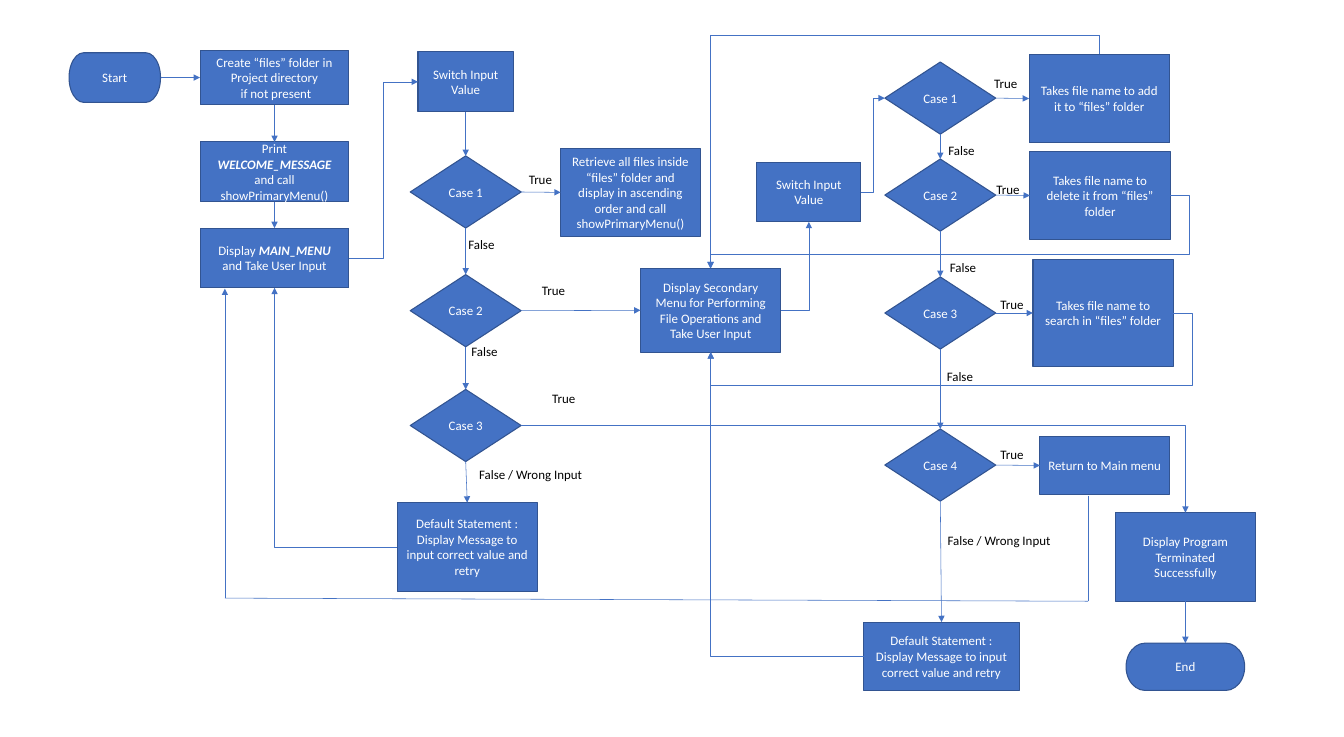
from itertools import pairwise

from lxml.etree import SubElement
from pptx import Presentation
from pptx.dml.color import RGBColor
from pptx.enum.shapes import MSO_CONNECTOR, MSO_SHAPE
from pptx.enum.text import MSO_ANCHOR, PP_ALIGN
from pptx.oxml.ns import qn
from pptx.util import Inches, Pt

BLUE, OUTLINE, WHITE, BLACK = "4472C4", "325491", "FFFFFF", "000000"
TOP, LEFT, BOTTOM, RIGHT = range(4)


def write_text(shape, text, color, alignment):
    """Fill a shape with text; newlines split paragraphs, asterisks mark bold italic."""
    for index, line in enumerate(text.split("\n")):
        frame = shape.text_frame
        paragraph = frame.add_paragraph() if index else frame.paragraphs[0]
        paragraph.alignment = alignment
        for position, part in enumerate(line.split("*")):
            run = paragraph.add_run()
            run.text = part
            run.font.name = "Calibri"
            run.font.size = Pt(12)
            run.font.color.rgb = RGBColor.from_string(color)
            run.font.bold = run.font.italic = position % 2 == 1


def style_line(connector, arrow=True):
    """Give a connector its thin blue line, no shadow and an optional arrowhead."""
    connector.line.color.rgb = RGBColor.from_string(BLUE)
    connector.line.width = Pt(0.5)
    properties = connector._element.spPr
    if arrow:
        SubElement(properties.find(qn("a:ln")), qn("a:tailEnd"), type="triangle")
    SubElement(properties, qn("a:effectLst"))


presentation = Presentation()
presentation.slide_width = Inches(17.33)
presentation.slide_height = Inches(9.5)
slide = presentation.slides.add_slide(presentation.slide_layouts[6])

RECTANGLE = MSO_SHAPE.RECTANGLE
PROCESS = MSO_SHAPE.FLOWCHART_PROCESS
DECISION = MSO_SHAPE.FLOWCHART_DECISION
TERMINATOR = MSO_SHAPE.FLOWCHART_TERMINATOR
retry_text = "Default Statement : Display Message to input correct value and retry"

# name: kind, left, top, width, height, text
steps = {
    "start": (TERMINATOR, 0.89, 0.68, 1.18, 0.64, "Start"),
    "create folder": (RECTANGLE, 2.58, 0.65, 1.92, 0.7,
                      "Create “files” folder in Project directory\n if not present"),
    "welcome": (RECTANGLE, 2.58, 1.83, 1.92, 0.77,
                "Print *WELCOME_MESSAGE* and call showPrimaryMenu()"),
    "main menu": (RECTANGLE, 2.58, 2.94, 1.92, 0.77, "Display *MAIN_MENU* and Take User Input"),
    "main switch": (RECTANGLE, 5.39, 0.67, 1.23, 0.77, "Switch Input\nValue"),
    "retrieve": (PROCESS, 7.23, 1.91, 1.8, 1.14,
                 "Retrieve all files inside “files” folder and display in ascending order "
                 "and call showPrimaryMenu()"),
    "main retry": (PROCESS, 5.12, 6.48, 1.81, 1.14, retry_text),
    "secondary menu": (PROCESS, 8.26, 3.46, 1.81, 1.08,
                       "Display Secondary Menu for Performing File Operations and Take User Input"),
    "file switch": (RECTANGLE, 9.76, 2.09, 1.34, 0.77, "Switch Input\nValue"),
    "add": (PROCESS, 13.27, 0.7, 1.81, 1.14, "Takes file name to add it to “files” folder"),
    "delete": (PROCESS, 13.28, 1.95, 1.81, 1.14,
               "Takes file name to delete it from “files” folder"),
    "search": (PROCESS, 13.32, 3.35, 1.81, 1.37, "Takes file name to search in “files” folder"),
    "return": (PROCESS, 13.41, 5.63, 1.67, 0.74, "Return to Main menu"),
    "file retry": (PROCESS, 11.14, 8.02, 2, 0.88, retry_text),
    "terminated": (PROCESS, 14.38, 6.61, 1.81, 1.14, "Display Program Terminated Successfully"),
    "end": (TERMINATOR, 14.52, 8.29, 1.53, 0.61, "End"),
}
case_columns = {"main": (5.29, [2.01, 3.54, 5.02]), "file": (11.41, [0.8, 2.05, 3.57, 5.53])}
for menu, (left, tops) in case_columns.items():
    for number, top in enumerate(tops, 1):
        steps[f"{menu} case {number}"] = (DECISION, left, top, 1.43, 0.93, f"Case {number}")

shapes = {}
for name, (kind, left, top, width, height, text) in steps.items():
    shape = slide.shapes.add_shape(kind, Inches(left), Inches(top), Inches(width), Inches(height))
    shape.shadow.inherit = False
    shape.fill.solid()
    shape.fill.fore_color.rgb = RGBColor.from_string(BLUE)
    shape.line.color.rgb = RGBColor.from_string(OUTLINE)
    shape.line.width = Pt(1)
    shape.text_frame.word_wrap = True
    shape.text_frame.vertical_anchor = MSO_ANCHOR.MIDDLE
    write_text(shape, text, WHITE, PP_ALIGN.CENTER)
    shapes[name] = shape

# Straight arrows: down the columns, then across from each case
columns = [
    ["create folder", "welcome", "main menu"],
    ["main switch", "main case 1", "main case 2", "main case 3", "main retry"],
    ["file case 1", "file case 2", "file case 3", "file case 4", "file retry"],
    ["terminated", "end"],
]
across = [
    ("start", "create folder"), ("main case 1", "retrieve"), ("main case 2", "secondary menu"),
    ("file case 1", "add"), ("file case 2", "delete"), ("file case 3", "search"),
    ("file case 4", "return"),
]
links = [(source, BOTTOM, target, TOP) for column in columns for source, target in pairwise(column)]
links += [(source, RIGHT, target, LEFT) for source, target in across]
for source, source_side, target, target_side in links:
    connector = slide.shapes.add_connector(MSO_CONNECTOR.STRAIGHT, 0, 0, 0, 0)
    connector.begin_connect(shapes[source], source_side)
    connector.end_connect(shapes[target], target_side)
    style_line(connector)

# Elbow arrows: source, side, target, side, preset, lane the bend runs along (x, y)
elbows = [
    ("main menu", RIGHT, "main switch", LEFT, "bentConnector3", None),
    ("file switch", RIGHT, "file case 1", LEFT, "bentConnector3", None),
    ("main retry", LEFT, "main menu", BOTTOM, "bentConnector2", None),
    ("main case 3", RIGHT, "terminated", TOP, "bentConnector2", None),
    ("file retry", LEFT, "secondary menu", BOTTOM, "bentConnector2", None),
    ("secondary menu", RIGHT, "file switch", BOTTOM, "bentConnector2", None),
    ("search", RIGHT, "secondary menu", BOTTOM, "bentConnector4", (15.37, 4.96)),
    ("delete", RIGHT, "secondary menu", TOP, "bentConnector4", (15.34, 3.28)),
]
for source, source_side, target, target_side, preset, lane in elbows:
    connector = slide.shapes.add_connector(MSO_CONNECTOR.ELBOW, 0, 0, 0, 0)
    connector.begin_connect(shapes[source], source_side)
    connector.end_connect(shapes[target], target_side)
    style_line(connector)
    geometry = connector._element.spPr.find(qn("a:prstGeom"))
    geometry.set("prst", preset)
    if lane:
        start = connector.begin_x, connector.begin_y
        finish = connector.end_x, connector.end_y
        for number, (bend, first, last) in enumerate(zip(lane, start, finish), 1):
            share = round(100000 * (Inches(bend) - first) / (last - first))
            SubElement(geometry.find(qn("a:avLst")), qn("a:gd"),
                       name=f"adj{number}", fmla=f"val {share}")

# Long return routes, drawn leg by leg with the arrow on the last leg
routes = [
    [(14.18, 0.7), (14.18, 0.45), (9.16, 0.45), (9.16, 3.46)],
    [(14.03, 6.39), (14.03, 7.75), (2.9, 7.71), (2.9, 3.72)],
]
for route in routes:
    for begin, end in pairwise(route):
        connector = slide.shapes.add_connector(
            MSO_CONNECTOR.STRAIGHT, *map(Inches, begin), *map(Inches, end))
        style_line(connector, arrow=end == route[-1])

# Branch labels: text, width, left and top of each
labels = [
    ("True", 0.5, [(6.72, 2.16), (6.89, 3.6), (7.02, 4.99), (12.72, 0.93), (12.75, 2.29),
                   (12.8, 3.78), (12.8, 5.71)]),
    ("False", 0.54, [(5.94, 3), (5.98, 4.38), (12.13, 1.79), (12.15, 3.3), (12.11, 4.7)]),
    ("False / Wrong Input", 1.54, [(6.08, 5.96), (12.12, 6.81)]),
]
for text, width, places in labels:
    for left, top in places:
        label = slide.shapes.add_textbox(Inches(left), Inches(top), Inches(width), Inches(0.3))
        label.text_frame.word_wrap = False
        write_text(label, text, BLACK, PP_ALIGN.LEFT)

presentation.save("out.pptx")
